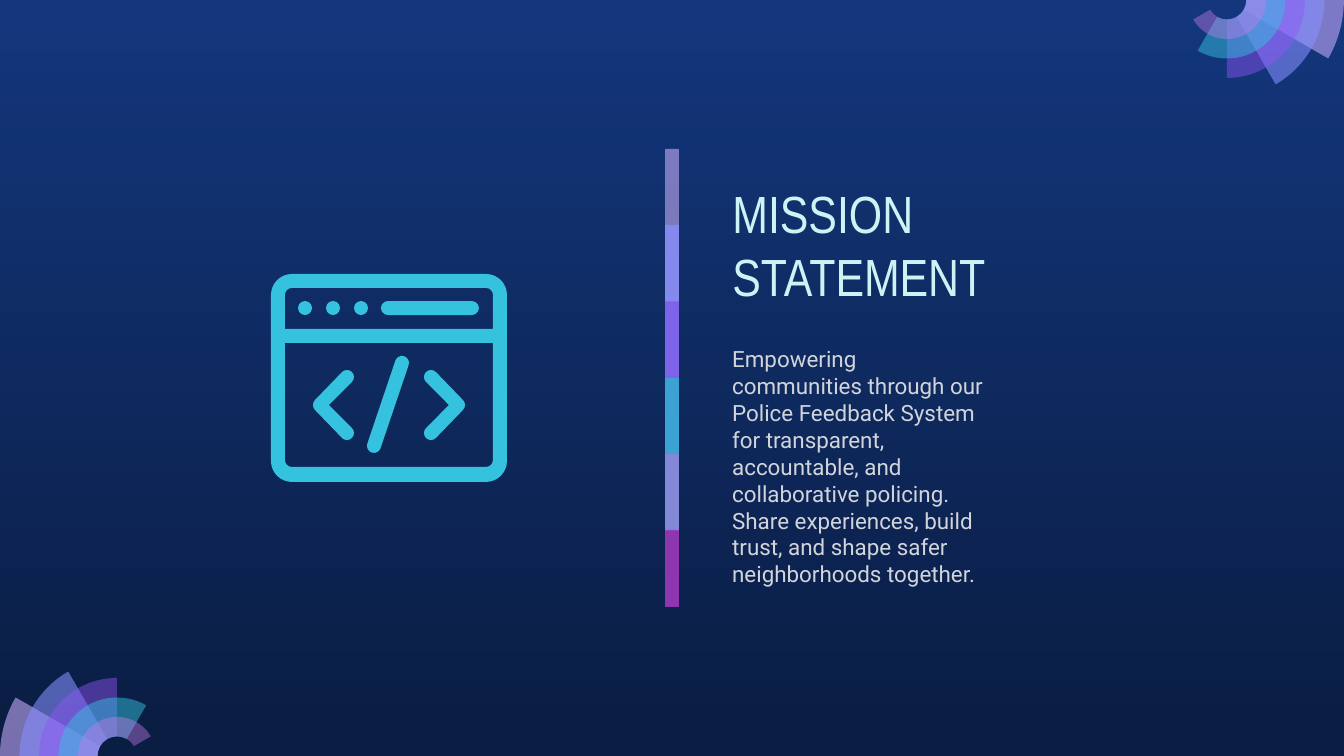
from math import ceil, cos, radians, sin, tan
from lxml.etree import SubElement
from pptx import Presentation
from pptx.dml.color import RGBColor
from pptx.enum.shapes import MSO_SHAPE
from pptx.enum.text import MSO_ANCHOR, MSO_AUTO_SIZE, PP_ALIGN
from pptx.oxml.ns import qn
from pptx.util import Inches, Pt

PX = 914400 / 134.4
NAVY_TOP = RGBColor(0x13, 0x36, 0x7C)
NAVY_BOTTOM = RGBColor(0x0A, 0x1D, 0x42)
ICE = RGBColor(0xCE, 0xF3, 0xF5)
GREY = RGBColor(0xD1, 0xD5, 0xDB)
CYAN = RGBColor(0x35, 0xC2, 0xDF)
LILAC = RGBColor(0xC8, 0xAC, 0xFD)
PALE_LILAC = RGBColor(0xC8, 0xAE, 0xF8)
PERIWINKLE = RGBColor(0x87, 0x8F, 0xFF)
VIOLET = RGBColor(0x91, 0x54, 0xF8)
ORCHID = RGBColor(0xCA, 0x7B, 0xEB)
MAGENTA = RGBColor(0x97, 0x2C, 0xB4)


def arc(x, y, radius, start, end):
    count = ceil(abs(end - start) / 90)
    step = radians(end - start) / count
    reach = 4 / 3 * tan(step / 4)
    steps = [(x + radius * cos(radians(start)), y + radius * sin(radians(start)))],
    for i in range(count):
        a = radians(start) + i * step
        b = a + step
        steps += [(x + radius * (cos(a) - reach * sin(a)), y + radius * (sin(a) + reach * cos(a))),
                  (x + radius * (cos(b) + reach * sin(b)), y + radius * (sin(b) - reach * cos(b))),
                  (x + radius * cos(b), y + radius * sin(b))],
    return list(steps)


def write(shape, text, *, box, font, size, color, anchor):
    shape.left, shape.top, shape.width, shape.height = [round(v * PX) for v in box]
    frame = shape.text_frame
    frame.word_wrap = True
    frame.auto_size = MSO_AUTO_SIZE.NONE
    frame.vertical_anchor = anchor
    frame.margin_left = frame.margin_right = Inches(0.1)
    frame.margin_top = frame.margin_bottom = Inches(0.1)
    paragraph = frame.paragraphs[0]
    paragraph.alignment = PP_ALIGN.LEFT
    run = paragraph.add_run()
    run.text = text
    run.font.name = font
    run.font.size = Pt(size)
    run.font.color.rgb = color


deck = Presentation()
deck.slide_width, deck.slide_height = round(1344 * PX), round(756 * PX)
slide = deck.slides.add_slide(deck.slide_layouts[5])

backdrop = slide.background.fill
backdrop.gradient()
backdrop.gradient_angle = 270
for stop, color in zip(backdrop.gradient_stops, (NAVY_TOP, NAVY_BOTTOM)):
    stop.color.rgb = color

write(slide.shapes.title, "MISSION STATEMENT", box=(719, 177, 280, 143),
      font="Arial Narrow", size=28, color=ICE, anchor=MSO_ANCHOR.BOTTOM)
write(slide.shapes.add_textbox(0, 0, 0, 0),
      "Empowering communities through our Police Feedback System for transparent, "
      "accountable, and collaborative policing. Share experiences, build trust, "
      "and shape safer neighborhoods together.",
      box=(719, 332, 280, 265), font="Roboto", size=12, color=GREY, anchor=MSO_ANCHOR.TOP)

browser, left_fan, right_fan, divider = [slide.shapes.add_group_shape() for _ in range(4)]

window = (arc(292, 295, 21, 180, 270) + arc(486, 295, 21, 270, 360)
          + arc(486, 461, 21, 0, 90) + arc(292, 461, 21, 90, 180))
address_pane = (arc(292, 295, 7, 180, 270) + arc(486, 295, 7, 270, 360)
                + [[(493, 329)], [(285, 329)]])
code_pane = ([[(285, 343)], [(493, 343)]]
             + arc(486, 460, 7, 0, 90) + arc(292, 460, 7, 90, 180))
slash = arc(402, 363, 7, -161, 19) + arc(374, 446, 7, 19, 199)
right_bracket = (arc(431, 377, 7, 135, 315) + arc(458, 405, 7, -45, 45)
                 + arc(431, 433, 7, 45, 225) + [[(449, 405)]])
left_bracket = [[(778 - x, y) for x, y in step] for step in right_bracket]

outlines = [(browser, [window, address_pane, code_pane], CYAN, 100)]
outlines += [(browser, [glyph], CYAN, 100) for glyph in (slash, right_bracket, left_bracket)]

fan_colors = [(LILAC, 58), (PERIWINKLE, 58), (VIOLET, 46), (CYAN, 49), (ORCHID, 42)]
for fan, x, y, start in ((left_fan, 117, 756, 180), (right_fan, 1227, 0, 0)):
    for i, (color, opacity) in enumerate(fan_colors):
        end = start + 30 * (i + 1)
        blade = arc(x, y, 117 * (6 - i) / 6, start, end) + arc(x, y, 117 / 6, end, start)
        outlines.append((fan, [blade], color, opacity))

painted = []
for group, contours, color, opacity in outlines:
    builder = None
    for contour in contours:
        first, *rest = [(round(x * PX), round(y * PX)) for step in contour for x, y in step]
        if builder is None:
            builder = group.shapes.build_freeform(*first)
        else:
            builder.move_to(*first)
        builder.add_line_segments(rest)
    shape = builder.convert_to_shape()
    lines = iter(list(shape.element.iter(qn("a:lnTo"))))
    for contour in contours:
        for step in contour[1:]:
            pieces = [next(lines) for _ in step]
            if len(pieces) == 3:
                curve = pieces[0]
                curve.addprevious(bezier := curve.makeelement(qn("a:cubicBezTo")))
                for piece in pieces:
                    bezier.append(piece[0])
                    piece.getparent().remove(piece)
    painted.append((shape, color, opacity))

presets = [(browser, MSO_SHAPE.OVAL, (x, 301, 14, 14), CYAN, 100) for x in (298, 326, 354)]
presets.append((browser, MSO_SHAPE.ROUNDED_RECTANGLE, (381, 301, 98, 14), CYAN, 100))
bar_colors = [(PALE_LILAC, 59), (PERIWINKLE, 74), (VIOLET, 53),
              (CYAN, 76), (ORCHID, 56), (MAGENTA, 74)]
for i, (color, opacity) in enumerate(bar_colors):
    top = 149 + 458 * i // 6
    height = min(153, 607 - top)
    presets.append((divider, MSO_SHAPE.RECTANGLE, (665, top, 14, height), color, opacity))

for group, kind, box, color, opacity in presets:
    shape = group.shapes.add_shape(kind, *[round(v * PX) for v in box])
    if kind == MSO_SHAPE.ROUNDED_RECTANGLE:
        shape.adjustments[0] = 0.5
    painted.append((shape, color, opacity))

for shape, color, opacity in painted:
    shape.shadow.inherit = False
    shape.line.fill.background()
    shape.fill.solid()
    shape.fill.fore_color.rgb = color
    if opacity < 100:
        rgb = shape.element.spPr.find(qn("a:solidFill")).find(qn("a:srgbClr"))
        SubElement(rgb, qn("a:alpha")).set("val", str(opacity * 1000))

deck.save("out.pptx")
